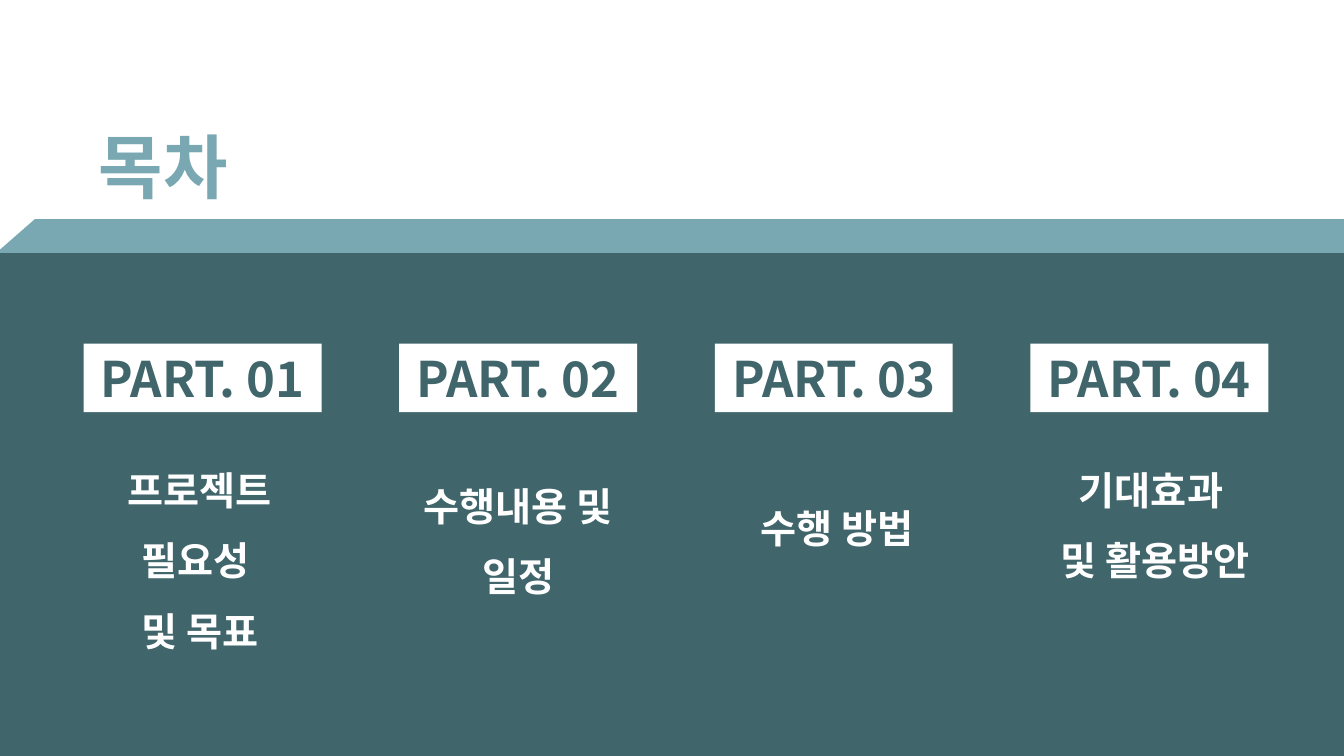
from dataclasses import dataclass

from lxml import etree
from pptx import Presentation
from pptx.dml.color import RGBColor
from pptx.enum.shapes import MSO_SHAPE
from pptx.enum.text import MSO_ANCHOR, MSO_AUTO_SIZE, PP_ALIGN
from pptx.oxml.ns import qn
from pptx.util import Inches, Pt


@dataclass(frozen=True)
class Theme:
    """Colours, type sizes and font of the deck."""
    white: str = "FFFFFF"
    light: str = "79A8B2"
    dark: str = "40656B"
    font: str = "Noto Sans CJK KR"
    title: int = 50
    badge: int = 35
    body: int = 28


@dataclass(frozen=True)
class Box:
    """A rectangle in inches."""
    left: float
    top: float
    width: float
    height: float

    def share(self, x, y, width, height):
        """Return a box given as shares of this one."""
        return Box(self.left + x * self.width, self.top + y * self.height,
                   width * self.width, height * self.height)

    def emu(self):
        """Return left, top, width and height as lengths."""
        return [Inches(v) for v in (self.left, self.top, self.width, self.height)]


THEME = Theme()
SLIDE = Box(0, 0, 13.33, 7.5)
CONTENTS = Box(0.83, 3.41, 11.75, 3.08)
BADGE_WIDTH, BADGE_HEIGHT, BADGE_PITCH = 2.36, 0.68, 3.13
TOPIC_SHIFT, TOPIC_PITCH = -0.03, 3.16
TOPICS = [
    (["프로젝트", "필요성 ", "및 목표"], 0.93, 1.5),
    (["수행내용 및 일정"], 1.09, 1.5),
    (["수행 방법"], 1.08, 2),
    (["기대효과 ", "및 활용방안"], 0.93, 1.5),
]


def paint(shape, color):
    """Give a shape a flat fill with no line or shadow."""
    shape.shadow.inherit = False
    shape.fill.solid()
    shape.fill.fore_color.rgb = RGBColor.from_string(color)
    shape.line.fill.background()
    return shape


def add_rect(slide, box, color):
    """Add a flat rectangle."""
    return paint(slide.shapes.add_shape(MSO_SHAPE.RECTANGLE, *box.emu()), color)


def write(shape, lines, size, color, spacing=1, anchor=MSO_ANCHOR.TOP):
    """Write bold centred paragraphs without bullets."""
    frame = shape.text_frame
    frame.word_wrap = True
    frame.auto_size = MSO_AUTO_SIZE.NONE
    frame.vertical_anchor = anchor
    frame.text = "\n".join(lines)
    for paragraph in frame.paragraphs:
        paragraph.alignment = PP_ALIGN.CENTER
        paragraph.line_spacing = spacing
        paragraph.space_before = paragraph.space_after = Pt(0)
        properties = paragraph._p.get_or_add_pPr()
        properties.set("marL", "0")
        properties.set("indent", "0")
        etree.SubElement(properties, qn("a:buNone"))
        font = paragraph.runs[0].font
        font.size, font.bold, font.name = Pt(size), True, THEME.font
        font.color.rgb = RGBColor.from_string(color)
        east_asian = etree.Element(qn("a:ea"), typeface=THEME.font)
        font._element.find(qn("a:latin")).addnext(east_asian)


def place(shape, box):
    """Move and size a placeholder."""
    shape.left, shape.top, shape.width, shape.height = box.emu()


def add_backdrop(slide, box):
    """Lay the two bands and the cut corner behind the placeholders."""
    band = add_rect(slide, box.share(0, 0.29, 1, 0.71), THEME.light)
    panel = add_rect(slide, box.share(0, 0.335, 1, 0.665), THEME.dark)
    corner = box.share(0, 0.288, 0.027, 0.042)
    outline = slide.shapes.build_freeform(
        Inches(corner.left), Inches(corner.top))
    outline.add_line_segments([
        (Inches(corner.left + corner.width), Inches(corner.top)),
        (Inches(corner.left), Inches(corner.top + corner.height))])
    cut = paint(outline.convert_to_shape(), THEME.white)
    for shape in (band, panel, cut):
        slide.shapes.title.element.addprevious(shape.element)


def add_title(slide, box):
    """Fill the title placeholder."""
    place(slide.shapes.title, box)
    write(slide.shapes.title, ["목차"], THEME.title, THEME.light)


def add_contents(slide, box):
    """Set out the numbered badges and the topics beneath them."""
    holders = [p for p in slide.placeholders if p.placeholder_format.idx in range(1, 5)]
    for i, (holder, (lines, drop, spacing)) in enumerate(zip(holders, TOPICS)):
        badge = add_rect(slide, Box(box.left + i * BADGE_PITCH, box.top,
                                    BADGE_WIDTH, BADGE_HEIGHT), THEME.white)
        write(badge, [f"PART. {i + 1:02}"], THEME.badge, THEME.dark,
              anchor=MSO_ANCHOR.MIDDLE)
        place(holder, Box(box.left + TOPIC_SHIFT + i * TOPIC_PITCH, box.top + drop,
                          BADGE_WIDTH, box.height - drop))
        write(holder, lines, THEME.body, THEME.white, spacing)


def build():
    """Build and save the contents slide."""
    deck = Presentation()
    deck.slide_width, deck.slide_height = SLIDE.emu()[2:]
    slide = deck.slides.add_slide(deck.slide_layouts.get_by_name("Comparison"))
    add_backdrop(slide, SLIDE)
    add_title(slide, SLIDE.share(0.042, 0.157, 0.159, 0.124))
    add_contents(slide, CONTENTS)
    for holder in list(slide.placeholders):
        if not holder.text_frame.text:
            holder.element.getparent().remove(holder.element)
    deck.save("out.pptx")


build()
